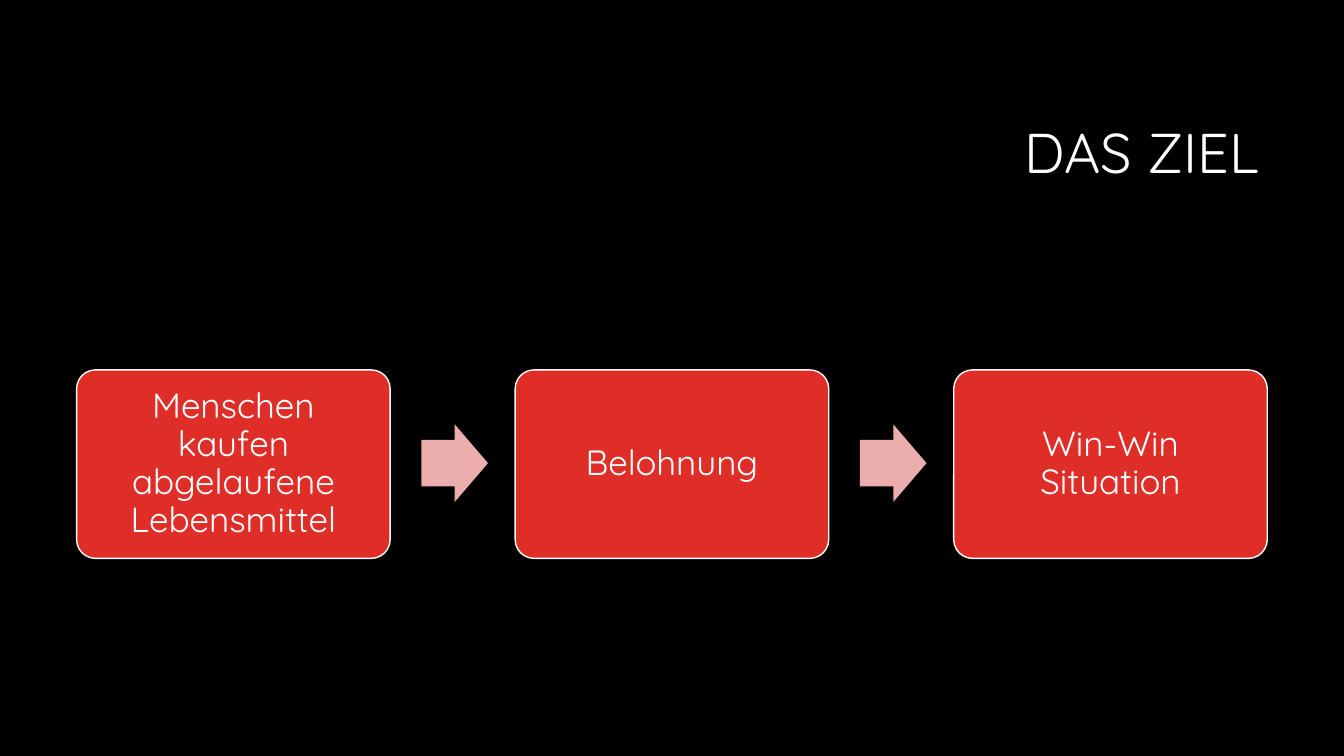
from dataclasses import dataclass

from pptx import Presentation
from pptx.dml.color import RGBColor as Rgb
from pptx.enum.shapes import MSO_SHAPE as Kind
from pptx.enum.text import MSO_ANCHOR as Anchor, PP_ALIGN as Align
from pptx.shapes.autoshape import Shape
from pptx.slide import Slide
from pptx.util import Inches, Pt

WIDE, HIGH = Inches(13.33), Inches(7.5)
FONT = "Quicksand"
COLOR = {"back": "000000", "text": "FFFFFF", "card": "DF2E28", "arrow": "ECADAD"}
STEPS = ["Menschen kaufen abgelaufene Lebensmittel", "Belohnung", "Win-Win Situation"]
PITCH = 32.63


@dataclass(frozen=True)
class Box:
    """Left, top, width and height in percent of the slide."""
    left: float
    top: float
    width: float
    height: float

    def shift(self, step: int) -> "Box":
        return Box(self.left + step * PITCH, self.top, self.width, self.height)

    def frame(self) -> tuple[int, int, int, int]:
        return (int(WIDE * self.left / 100), int(HIGH * self.top / 100),
                int(WIDE * self.width / 100), int(HIGH * self.height / 100))


TITLE = Box(23.78, 11.2, 70.67, 18.8)
CARD = Box(5.7, 48.93, 23.33, 24.93)
ARROW = Box(31.36, 56.13, 4.95, 10.27)


def tint(name: str) -> Rgb:
    return Rgb.from_string(COLOR[name])


def write(shape: Shape, text: str, size: int, align: Align) -> None:
    frame = shape.text_frame
    frame.text = text
    frame.word_wrap = True
    frame.vertical_anchor = Anchor.MIDDLE
    para = frame.paragraphs[0]
    para.alignment = align
    para.line_spacing = 0.9
    para.font.name = FONT
    para.font.size = Pt(size)
    para.font.color.rgb = tint("text")


def draw(slide: Slide, kind: Kind, box: Box, fill: str, ratio: float) -> Shape:
    shape = slide.shapes.add_shape(kind, *box.frame())
    shape.shadow.inherit = False
    shape.fill.solid()
    shape.fill.fore_color.rgb = tint(fill)
    shape.line.fill.background()
    shape.adjustments[0] = ratio
    return shape


def card(slide: Slide, box: Box, text: str) -> None:
    shape = draw(slide, Kind.ROUNDED_RECTANGLE, box, "card", 0.1)
    shape.line.color.rgb = tint("text")
    shape.line.width = Pt(1)
    frame = shape.text_frame
    frame.margin_left = frame.margin_right = Inches(0.1)
    frame.margin_top = frame.margin_bottom = Inches(0.1)
    write(shape, text, 25, Align.CENTER)


def main() -> None:
    deck = Presentation()
    deck.slide_width, deck.slide_height = WIDE, HIGH
    slide = deck.slides.add_slide(deck.slide_layouts[5])
    slide.background.fill.solid()
    slide.background.fill.fore_color.rgb = tint("back")

    title = slide.shapes.title
    title.left, title.top, title.width, title.height = TITLE.frame()
    write(title, "DAS ZIEL", 40, Align.RIGHT)

    for step, text in enumerate(STEPS):
        if step:
            draw(slide, Kind.RIGHT_ARROW, ARROW.shift(step - 1), "arrow", 0.6)
        card(slide, CARD.shift(step), text)

    deck.save("out.pptx")


if __name__ == "__main__":
    main()
